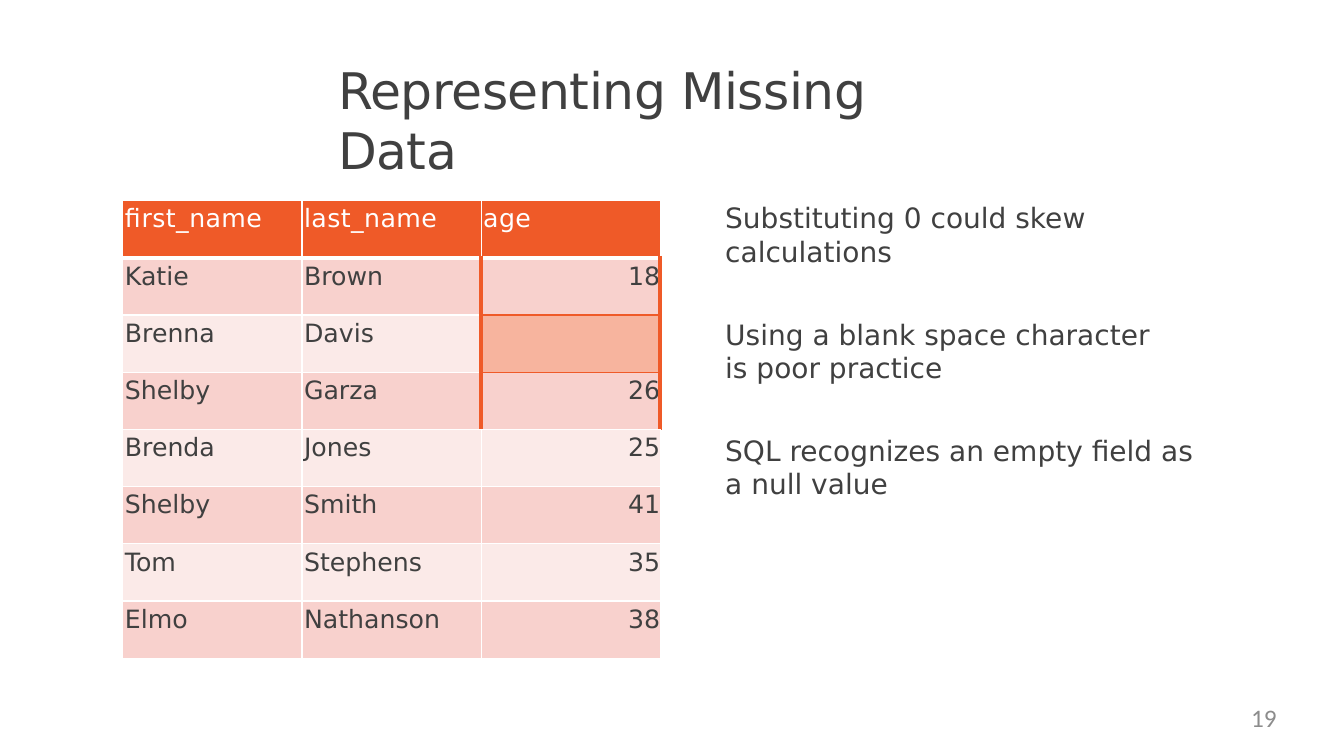
from lxml.etree import SubElement
from pptx import Presentation
from pptx.dml.color import RGBColor
from pptx.enum.text import MSO_ANCHOR as Anchor, PP_ALIGN as Align
from pptx.oxml.ns import qn
from pptx.util import Pt

ORANGE = RGBColor(0xEF, 0x5A, 0x28)
PEACH = RGBColor(0xF7, 0xB4, 0x9E)
ROSE = RGBColor(0xF8, 0xD1, 0xCD)
BLUSH = RGBColor(0xFB, 0xEA, 0xE8)
WHITE = RGBColor(0xFF, 0xFF, 0xFF)
CHARCOAL = RGBColor(0x40, 0x40, 0x40)
GRAY = RGBColor(0x8C, 0x8C, 0x8C)
BODY_FONT = "DejaVu Sans"
NUMBER_FONT = "Calibri"

PEOPLE = [
    ("first_name", "last_name", "age"),
    ("Katie", "Brown", "18"),
    ("Brenna", "Davis", ""),
    ("Shelby", "Garza", "26"),
    ("Brenda", "Jones", "25"),
    ("Shelby", "Smith", "41"),
    ("Tom", "Stephens", "35"),
    ("Elmo", "Nathanson", "38"),
]
AGE = 2
FOCUS_ROWS = (1, 2, 3)
POINTS = [
    ("Substituting 0 could skew", "calculations"),
    ("Using a blank space character", "is poor practice"),
    ("SQL recognizes an empty field as", "a null value"),
]


def style_paragraph(para, size, color, name=BODY_FONT):
    """Set the font of a whole paragraph."""
    para.font.size = Pt(size)
    para.font.name = name
    para.font.color.rgb = color


def track(para, hundredths):
    """Set the letter spacing of a paragraph's runs."""
    for span in para.runs:
        span._r.get_or_add_rPr().set("spc", str(hundredths))


def add_frame(page, left, top, width, height):
    """Add a wrapping text box without side margins and return its frame."""
    box = page.shapes.add_textbox(Pt(left), Pt(top), Pt(width), Pt(height))
    frame = box.text_frame
    frame.word_wrap = True
    frame.vertical_anchor = Anchor.TOP
    frame.margin_left = frame.margin_top = Pt(1)
    frame.margin_right = frame.margin_bottom = 0
    return frame


def add_title(page, left, top, width, height):
    """Place the slide title."""
    para = add_frame(page, left, top, width, height).paragraphs[0]
    para.text = "Representing Missing Data"
    style_paragraph(para, 36, CHARCOAL)
    track(para, -35)


def add_points(page, left, top, width, height):
    """Place the three remarks, each on two lines."""
    frame = add_frame(page, left, top, width, height)
    for index, lines in enumerate(POINTS):
        para = frame.add_paragraph() if index else frame.paragraphs[0]
        para.add_run().text = lines[0]
        para.add_line_break()
        para.add_run().text = lines[1]
        if index:
            para.space_before = Pt(35)
        style_paragraph(para, 20, CHARCOAL)


def add_page_number(page, left, top, width, height):
    """Place the page number at the right."""
    frame = add_frame(page, left, top, width, height)
    frame.margin_left = frame.margin_top = 0
    para = frame.paragraphs[0]
    para.text = "19"
    para.alignment = Align.RIGHT
    style_paragraph(para, 18, GRAY, NUMBER_FONT)


def side_border(row, edge):
    """Return colour and width of a vertical cell edge."""
    framed = row in FOCUS_ROWS and edge in (AGE, AGE + 1)
    return (ORANGE, 3) if framed else (WHITE, 1)


def level_border(edge, column):
    """Return colour and width of a horizontal cell edge."""
    if edge == 1:
        return WHITE, 3
    return (ORANGE if column == AGE and edge in (2, 3) else WHITE), 1


def draw_borders(cell, row, column):
    """Add the four border lines of a cell."""
    borders = {
        "a:lnL": side_border(row, column),
        "a:lnR": side_border(row, column + 1),
        "a:lnT": level_border(row, column),
        "a:lnB": level_border(row + 1, column),
    }
    properties = cell._tc.get_or_add_tcPr()
    for tag, (color, width) in borders.items():
        line = SubElement(properties, qn(tag), w=str(Pt(width)))
        fill = SubElement(line, qn("a:solidFill"))
        SubElement(fill, qn("a:srgbClr"), val=str(color))


def cell_fill(row, text):
    """Return the fill colour of a cell."""
    if row == 0:
        return ORANGE
    if not text:
        return PEACH
    return ROSE if row % 2 else BLUSH


def add_people_table(page, left, top, width, height):
    """Place the table of people with the empty age marked."""
    frame = page.shapes.add_table(
        len(PEOPLE), len(PEOPLE[0]), Pt(left), Pt(top), Pt(width), Pt(height))
    table = frame.table
    for row, record in enumerate(PEOPLE):
        for column, text in enumerate(record):
            cell = table.cell(row, column)
            numeric = row > 0 and column == AGE
            draw_borders(cell, row, column)
            cell.fill.solid()
            cell.fill.fore_color.rgb = cell_fill(row, text)
            cell.margin_left = Pt(1.5)
            cell.margin_top = Pt(2.9)
            cell.margin_right = cell.margin_bottom = 0
            para = cell.text_frame.paragraphs[0]
            para.text = text
            para.alignment = Align.RIGHT if numeric else Align.LEFT
            style_paragraph(para, 18, CHARCOAL if row else WHITE)
            para.font.bold = False
            track(para, 0 if row else 30)


def main():
    """Build and save the slide."""
    deck = Presentation()
    deck.slide_width, deck.slide_height = Pt(960), Pt(540)
    page = deck.slides.add_slide(deck.slide_layouts[6])
    add_points(page, 517, 142.5, 355.5, 218)
    add_title(page, 240.5, 41, 473, 45.5)
    add_people_table(page, 87.8, 143.3, 383.8, 326.9)
    add_page_number(page, 691, 502, 221, 27)
    deck.save("out.pptx")


if __name__ == "__main__":
    main()
